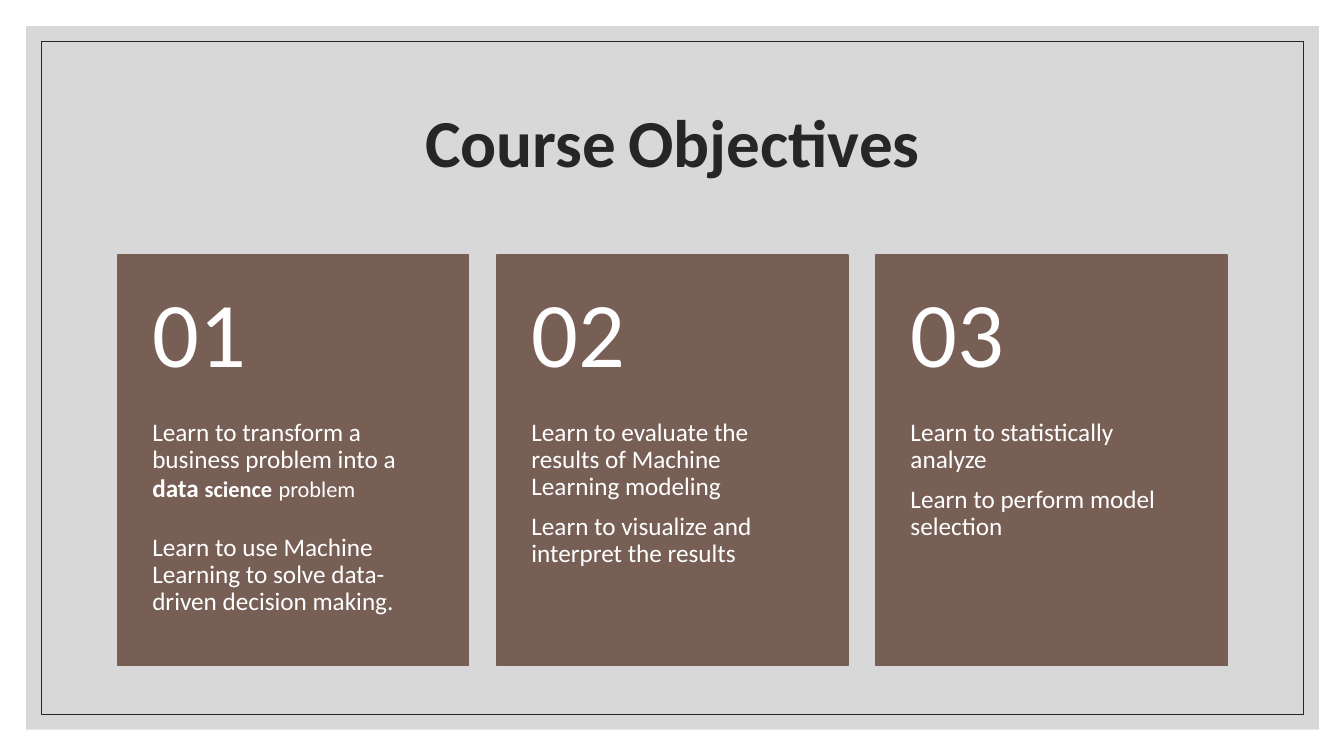
"""Build the Course Objectives slide with three numbered cards."""
from lxml.etree import SubElement
from pptx import Presentation
from pptx.dml.color import RGBColor
from pptx.enum.shapes import MSO_SHAPE
from pptx.enum.text import MSO_ANCHOR, PP_ALIGN
from pptx.oxml.ns import qn
from pptx.util import Inches, Pt

DARK, GREY, BROWN, WHITE = "262626", "BFBFBF", "775F55", "FFFFFF"
TITLE = [("Course", 48, True), (" ", 36, True), ("Objectives", 48, True)]
CARDS = [
    ("01", 11.9, 9.9, [
        [("Learn to transform a business problem into a ", 18, False),
         ("data ", 18, True), ("science", 16, True),
         (" ", 20, False), ("problem", 16, False)],
        [("Learn to use Machine Learning to solve data-driven decision making.", 18, False)],
    ]),
    ("02", 0, 9.1, [
        [("Learn to evaluate the results of Machine Learning modeling", 18, False)],
        [("Learn to visualize and interpret the results", 18, False)],
    ]),
    ("03", 0, 9.1, [
        [("Learn to statistically analyze", 18, False)],
        [("Learn to perform model selection", 18, False)],
    ]),
]
CARD_LEFT, CARD_TOP, CARD_WIDTH, CARD_HEIGHT = 1.17, 2.53, 3.48, 4.07
CARD_STEP, NUMBER_HEIGHT = 3.76, 1.63


def color(value):
    return RGBColor.from_string(value)


def add_rectangle(slide, box, fill=None, line=None, line_width=1):
    shape = slide.shapes.add_shape(MSO_SHAPE.RECTANGLE, *map(Inches, box))
    shape.shadow.inherit = False
    if fill:
        shape.fill.solid()
        shape.fill.fore_color.rgb = color(fill)
    else:
        shape.fill.background()
    if line:
        shape.line.color.rgb = color(line)
        shape.line.width = Pt(line_width)
    else:
        shape.line.fill.background()
    return shape


def set_frame(frame, anchor, top, bottom):
    frame.word_wrap = True
    frame.vertical_anchor = anchor
    frame.margin_left = frame.margin_right = Inches(0.34)
    frame.margin_top, frame.margin_bottom = Inches(top), Inches(bottom)


def write_paragraph(paragraph, runs, text_color, align=PP_ALIGN.LEFT, before=0, after=0):
    paragraph.alignment = align
    paragraph.line_spacing = 0.9
    paragraph.space_before, paragraph.space_after = Pt(before), Pt(after)
    for text, size, bold in runs:
        run = paragraph.add_run()
        run.text = text
        run.font.name = "Calibri"
        run.font.size = Pt(size)
        run.font.bold = bold
        run.font.color.rgb = color(text_color)


def add_frames(slide, title):
    panel = add_rectangle(slide, (0.26, 0.26, 12.82, 6.98), fill=GREY)
    panel_color = panel.fill._xPr.find(qn("a:solidFill"))[0]
    SubElement(panel_color, qn("a:alpha")).set("val", "60000")
    border = add_rectangle(slide, (0.41, 0.41, 12.52, 6.68), line=DARK, line_width=0.5)
    for shape in (panel, border):
        title._element.addprevious(shape._element)


def add_card(slide, left, number, before, after, objectives):
    card = add_rectangle(slide, (left, CARD_TOP, CARD_WIDTH, CARD_HEIGHT), BROWN, BROWN)
    frame = card.text_frame
    set_frame(frame, MSO_ANCHOR.TOP, NUMBER_HEIGHT, 0.36)
    for index, runs in enumerate(objectives):
        paragraph = frame.add_paragraph() if index else frame.paragraphs[0]
        write_paragraph(paragraph, runs, WHITE, before=before, after=after)
    number_box = slide.shapes.add_textbox(
        *map(Inches, (left, CARD_TOP, CARD_WIDTH, NUMBER_HEIGHT)))
    set_frame(number_box.text_frame, MSO_ANCHOR.MIDDLE, 0.18, 0.18)
    write_paragraph(number_box.text_frame.paragraphs[0], [(number, 66, False)], WHITE, after=23.1)


def main():
    presentation = Presentation()
    presentation.slide_width, presentation.slide_height = Inches(13.33), Inches(7.5)
    slide = presentation.slides.add_slide(presentation.slide_layouts[5])
    title = slide.shapes.title
    title.left, title.top, title.width, title.height = map(Inches, (1.17, 0.7, 11, 1.5))
    title.text_frame.vertical_anchor = MSO_ANCHOR.MIDDLE
    write_paragraph(title.text_frame.paragraphs[0], TITLE, DARK, PP_ALIGN.CENTER)
    add_frames(slide, title)
    for index, card in enumerate(CARDS):
        add_card(slide, CARD_LEFT + index * CARD_STEP, *card)
    presentation.save("out.pptx")


if __name__ == "__main__":
    main()
